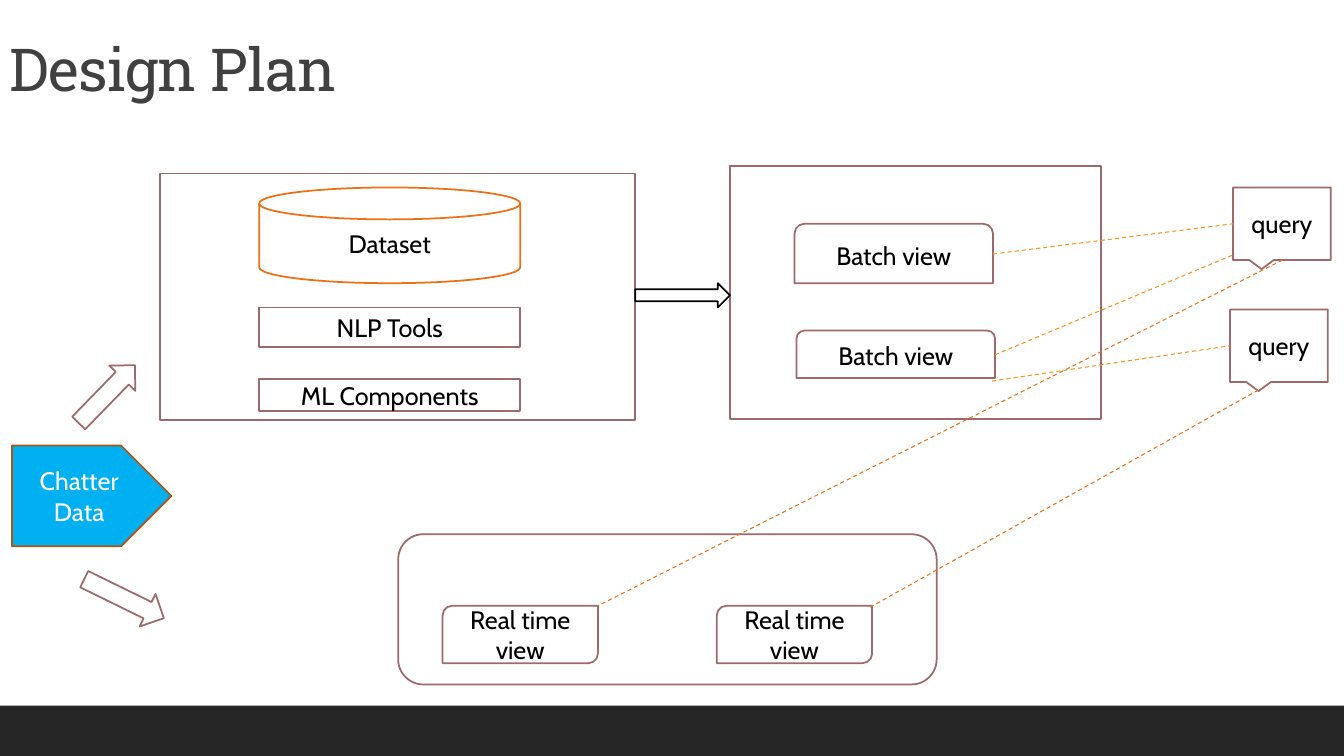
from dataclasses import dataclass

from lxml import etree
from pptx import Presentation
from pptx.dml.color import RGBColor
from pptx.enum.dml import MSO_LINE
from pptx.enum.shapes import MSO_CONNECTOR, MSO_SHAPE
from pptx.enum.text import MSO_ANCHOR, PP_ALIGN
from pptx.oxml.ns import qn
from pptx.slide import Slide
from pptx.text.text import TextFrame
from pptx.util import Inches, Pt

RECT = MSO_SHAPE.RECTANGLE
ROUNDED = MSO_SHAPE.ROUNDED_RECTANGLE
TOP_ROUNDED = MSO_SHAPE.ROUND_2_SAME_RECTANGLE
DIAGONAL_ROUNDED = MSO_SHAPE.ROUND_2_DIAG_RECTANGLE
CALLOUT = MSO_SHAPE.RECTANGULAR_CALLOUT
DISK = MSO_SHAPE.FLOWCHART_MAGNETIC_DISK
PENTAGON = MSO_SHAPE.PENTAGON
ARROW = MSO_SHAPE.RIGHT_ARROW
STRAIGHT = MSO_CONNECTOR.STRAIGHT
DASH = MSO_LINE.DASH
MIDDLE, BOTTOM = MSO_ANCHOR.MIDDLE, MSO_ANCHOR.BOTTOM
LEFT, CENTER = PP_ALIGN.LEFT, PP_ALIGN.CENTER


@dataclass(frozen=True)
class Theme:
    white: str = "FFFFFF"
    black: str = "000000"
    footer: str = "262626"
    title: str = "404040"
    outline: str = "9C6A6A"
    orange: str = "EC7016"
    amber: str = "F8931D"
    source_fill: str = "00B0F0"
    source_outline: str = "AF5310"
    title_font: str = "Roboto Slab"
    body_font: str = "Cabin"
    title_size: float = 42.3
    body_size: float = 18
    outline_width: float = 1.25
    link_width: float = 0.75


THEME = Theme()


@dataclass(frozen=True)
class Block:
    kind: MSO_SHAPE
    left: float
    top: float
    width: float
    height: float
    label: str = ""
    fill: str = THEME.white
    outline: str | None = THEME.outline
    text_color: str = THEME.black
    rotation: float = 0


@dataclass(frozen=True)
class QueryLink:
    start: tuple[float, float]
    end: tuple[float, float]
    color: str


STORE_LEFT, STORE_WIDTH = 2.57, 2.59

BLOCKS = [
    Block(RECT, 0, 7, 13.33, 0.5, fill=THEME.footer, outline=None),
    Block(RECT, 1.59, 1.72, 4.71, 2.45),
    Block(RECT, 7.24, 1.65, 3.68, 2.51),
    Block(CALLOUT, 12.23, 1.86, 0.97, 0.72, "query"),
    Block(CALLOUT, 12.2, 3.07, 0.97, 0.72, "query"),
    Block(ROUNDED, 3.95, 5.3, 5.34, 1.49),
    *(Block(DIAGONAL_ROUNDED, left, 6.01, 1.54, 0.57, "Real time view")
      for left in (4.39, 7.11)),
    Block(DISK, STORE_LEFT, 1.86, STORE_WIDTH, 0.95, "Dataset", outline=THEME.orange),
    Block(RECT, STORE_LEFT, 3.05, STORE_WIDTH, 0.39, "NLP Tools"),
    Block(RECT, STORE_LEFT, 3.76, STORE_WIDTH, 0.32, "ML Components"),
    Block(TOP_ROUNDED, 7.88, 2.22, 1.97, 0.59, "Batch view"),
    Block(TOP_ROUNDED, 7.9, 3.28, 1.97, 0.47, "Batch view"),
    Block(PENTAGON, 0.12, 4.42, 1.58, 1, "Chatter Data", fill=THEME.source_fill,
          outline=THEME.source_outline, text_color=THEME.white),
    Block(ARROW, 0.66, 3.73, 0.8, 0.36, rotation=314.2),
    Block(ARROW, 0.79, 5.76, 0.88, 0.36, rotation=26.1),
    Block(ARROW, 6.3, 2.81, 0.94, 0.24, outline=THEME.black),
]

QUERY_LINKS = [
    QueryLink((9.85, 2.52), (12.23, 2.22), THEME.amber),
    QueryLink((9.87, 3.52), (12.25, 2.52), THEME.amber),
    QueryLink((9.84, 3.78), (12.2, 3.43), THEME.amber),
    QueryLink((12.72, 2.58), (5.93, 6.01), THEME.orange),
    QueryLink((12.48, 3.87), (8.62, 6.03), THEME.orange),
]


def write_text(frame: TextFrame, text: str, *, color: str,
               font: str = THEME.body_font, size: float = THEME.body_size,
               align: PP_ALIGN = CENTER, anchor: MSO_ANCHOR = MIDDLE,
               line_spacing: float = 1, tracking: float = 0) -> None:
    """Fill a frame with one formatted paragraph; tracking is in points."""
    frame.word_wrap = True
    frame.vertical_anchor = anchor
    paragraph = frame.paragraphs[0]
    paragraph.alignment = align
    paragraph.line_spacing = line_spacing
    run = paragraph.add_run()
    run.text = text
    run.font.name = font
    run.font.size = Pt(size)
    run.font.color.rgb = RGBColor.from_string(color)
    if tracking:
        run.font._element.set("spc", str(round(tracking * 100)))


def draw_title(slide: Slide) -> None:
    title = slide.shapes.add_textbox(Inches(0), Inches(0.31), Inches(4.71), Inches(0.77))
    write_text(title.text_frame, "Design Plan", color=THEME.title,
               font=THEME.title_font, size=THEME.title_size, align=LEFT,
               anchor=BOTTOM, line_spacing=0.9, tracking=-0.5)


def draw_block(slide: Slide, block: Block) -> None:
    shape = slide.shapes.add_shape(
        block.kind, Inches(block.left), Inches(block.top),
        Inches(block.width), Inches(block.height))
    shape.shadow.inherit = False
    shape.rotation = block.rotation
    shape.fill.solid()
    shape.fill.fore_color.rgb = RGBColor.from_string(block.fill)
    if block.outline:
        shape.line.color.rgb = RGBColor.from_string(block.outline)
        shape.line.width = Pt(THEME.outline_width)
    else:
        shape.line.fill.background()
    if block.label:
        write_text(shape.text_frame, block.label, color=block.text_color)


def draw_query_link(slide: Slide, link: QueryLink) -> None:
    connector = slide.shapes.add_connector(
        STRAIGHT, *(Inches(value) for value in link.start + link.end))
    connector.line.color.rgb = RGBColor.from_string(link.color)
    connector.line.width = Pt(THEME.link_width)
    connector.line.dash_style = DASH
    etree.SubElement(connector._element.spPr, qn("a:effectLst"))


def main() -> None:
    presentation = Presentation()
    presentation.slide_width = Inches(13.33)
    presentation.slide_height = Inches(7.5)
    slide = presentation.slides.add_slide(presentation.slide_layouts[6])
    draw_title(slide)
    for block in BLOCKS:
        draw_block(slide, block)
    for link in QUERY_LINKS:
        draw_query_link(slide, link)
    presentation.save("out.pptx")


if __name__ == "__main__":
    main()
